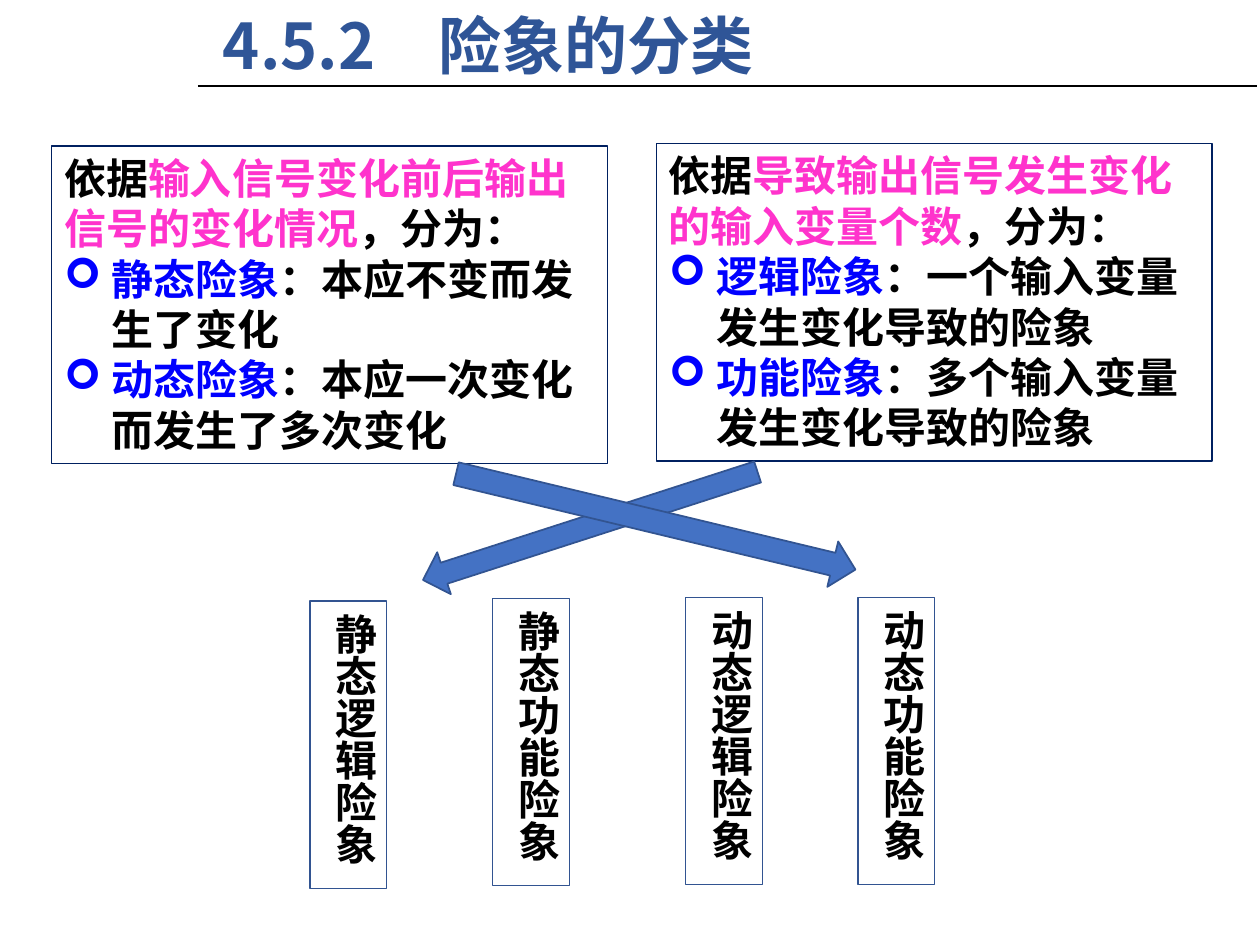
from pptx import Presentation
from pptx.dml.color import RGBColor
from pptx.enum.shapes import MSO_CONNECTOR, MSO_SHAPE
from pptx.enum.text import MSO_ANCHOR, PP_ALIGN
from pptx.oxml.ns import qn
from pptx.util import Inches, Pt
from lxml.etree import SubElement

# Content
TITLE = "4.5.2　险象的分类"
CRITERIA = [
    {"basis": "输入信号变化前后输出信号的变化情况",
     "kinds": [("静态险象", "本应不变而发生了变化"),
               ("动态险象", "本应一次变化而发生了多次变化")]},
    {"basis": "导致输出信号发生变化的输入变量个数",
     "kinds": [("逻辑险象", "一个输入变量发生变化导致的险象"),
               ("功能险象", "多个输入变量发生变化导致的险象")]},
]
COMBINED = ["静态逻辑险象", "静态功能险象", "动态逻辑险象", "动态功能险象"]

# Theme and layout, in inches and points
THEME = {
    "latin": "Calibri", "asian": "Noto Sans CJK SC",
    "title_size": 36, "body_size": 24,
    "title": "2F5597", "text": "000000", "basis": "FF33CC", "kind": "0000FF",
    "panel_line": "002060", "arrow": "4472C4", "outline": "325491",
}
PANEL_CORNERS = [(0.41, 1.16), (5.21, 1.14)]
PANEL_SIZE = (4.41, 2.52)
LABEL_CORNERS = [(2.46, 4.77), (3.91, 4.75), (5.44, 4.74), (6.81, 4.74)]
LABEL_SIZE = (0.61, 2.28)
ARROWS = [((4.51, 2.78, 0.35, 2.79), 72.1), ((5.02, 2.51, 0.37, 3.26), 283.5)]
INDENT = 0.38


def color(name):
    return RGBColor.from_string(THEME[name])


def add_span(para, text, tint="text", size="body_size", latin="latin"):
    span = para.add_run()
    span.text = text
    font = span.font
    font.name, font.size, font.bold = THEME[latin], Pt(THEME[size]), True
    font.color.rgb = color(tint)
    SubElement(font._element, qn("a:ea")).set("typeface", THEME["asian"])


def add_shape(page, preset, place, line, width, fill=None):
    shape = page.shapes.add_shape(preset, *map(Inches, place))
    shape.shadow.inherit = False
    if fill:
        shape.fill.solid()
        shape.fill.fore_color.rgb = color(fill)
    else:
        shape.fill.background()
    shape.line.color.rgb = color(line)
    shape.line.width = Pt(width)
    frame = shape.text_frame
    frame.word_wrap = True
    frame.vertical_anchor = MSO_ANCHOR.TOP
    frame.paragraphs[0].alignment = PP_ALIGN.LEFT
    return shape


def add_bullet(frame):
    para = frame.add_paragraph()
    para.alignment = PP_ALIGN.LEFT
    props = para._p.get_or_add_pPr()
    props.set("marL", str(Inches(INDENT)))
    props.set("indent", str(-Inches(INDENT)))
    SubElement(props, qn("a:buFont")).set("typeface", "Wingdings")
    SubElement(props, qn("a:buChar")).set("char", "➢")
    return para


def main():
    deck = Presentation()
    deck.slide_width, deck.slide_height = Inches(10), Inches(7.5)
    page = deck.slides.add_slide(deck.slide_layouts[6])

    # Classification criteria
    for corner, criterion in zip(PANEL_CORNERS, CRITERIA):
        panel = add_shape(page, MSO_SHAPE.RECTANGLE, corner + PANEL_SIZE, "panel_line", 0.75)
        para = panel.text_frame.paragraphs[0]
        add_span(para, "依据")
        add_span(para, criterion["basis"], "basis")
        add_span(para, "，分为：")
        for kind, meaning in criterion["kinds"]:
            para = add_bullet(panel.text_frame)
            add_span(para, kind, "kind")
            add_span(para, "：" + meaning)

    # Crossing arrows
    for place, angle in ARROWS:
        arrow = add_shape(page, MSO_SHAPE.DOWN_ARROW, place, "outline", 1, "arrow")
        arrow.rotation = angle

    # Combined kinds, written vertically
    for corner, name in zip(LABEL_CORNERS, COMBINED):
        label = add_shape(page, MSO_SHAPE.RECTANGLE, corner + LABEL_SIZE, "outline", 0.75)
        label.text_frame._txBody.bodyPr.set("vert", "eaVert")
        add_span(label.text_frame.paragraphs[0], name)

    # Title and its rule
    rule = page.shapes.add_connector(
        MSO_CONNECTOR.STRAIGHT, *map(Inches, (1.57, 0.68, 9.98, 0.68)))
    rule.line.color.rgb = color("text")
    rule.line.width = Pt(1.25)
    SubElement(rule._element.spPr, qn("a:effectLst"))
    box = page.shapes.add_textbox(*map(Inches, (1.67, 0, 5.69, 0.71)))
    box.text_frame.word_wrap = True
    add_span(box.text_frame.paragraphs[0], TITLE, "title", "title_size", "asian")

    deck.save("out.pptx")


if __name__ == "__main__":
    main()
